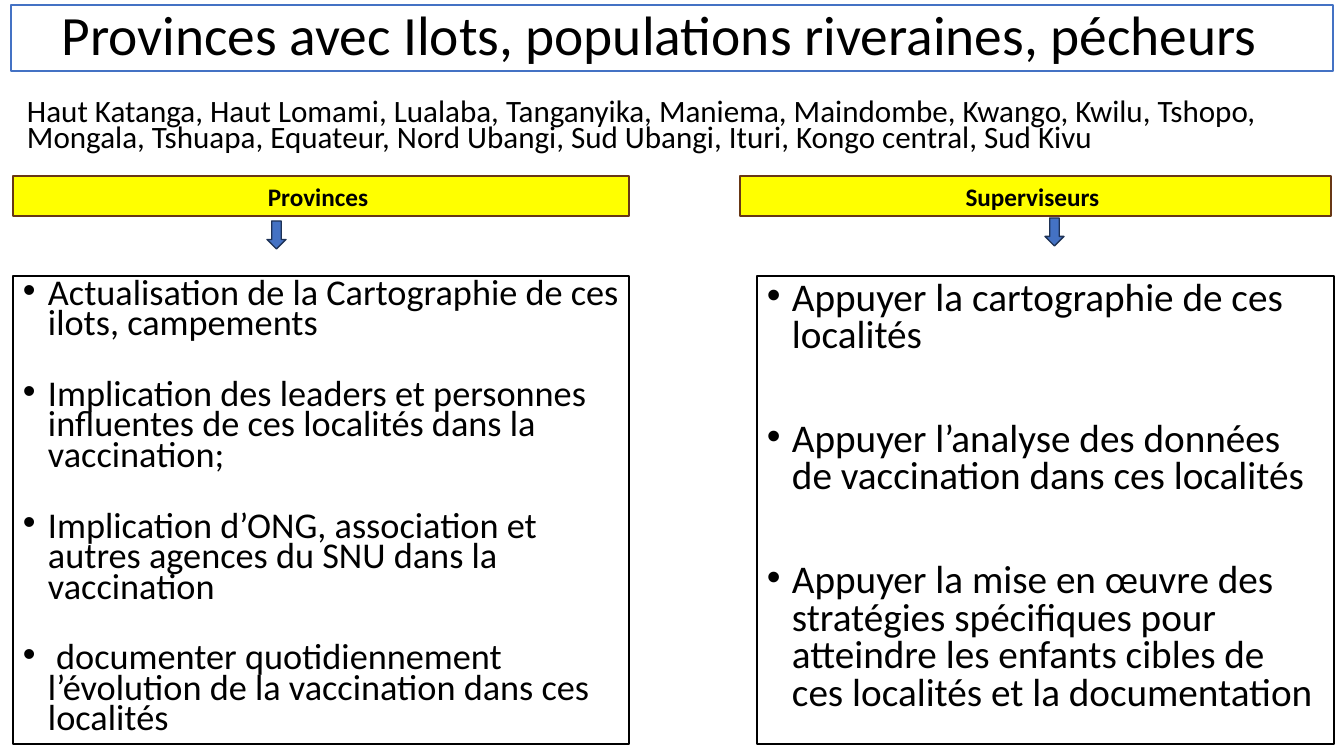
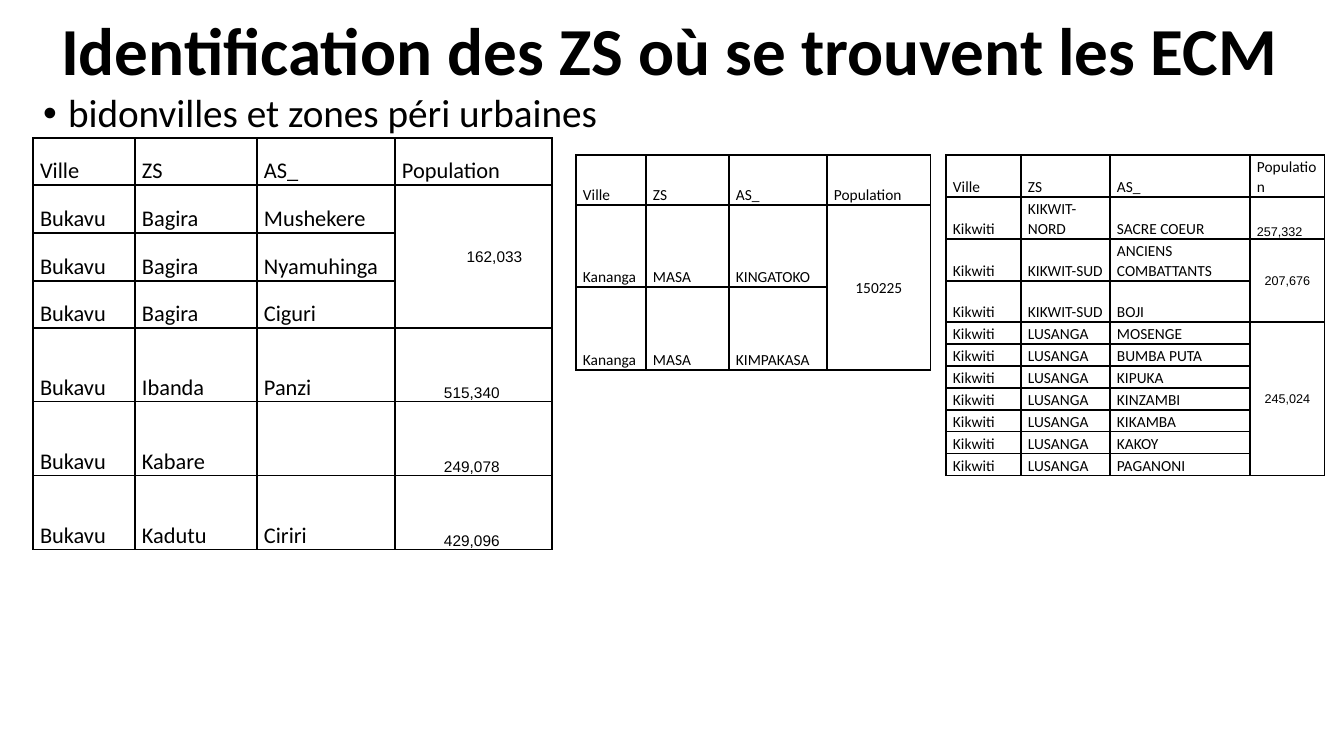
from lxml.etree import SubElement
from pptx import Presentation
from pptx.dml.color import RGBColor
from pptx.enum.shapes import MSO_SHAPE
from pptx.enum.text import MSO_ANCHOR, PP_ALIGN
from pptx.oxml import parse_xml
from pptx.oxml.ns import nsdecls, qn
from pptx.util import Emu, Pt

SLIDE_WIDTH, SLIDE_HEIGHT = 1344, 756
EMU_PER_PX = 12192000 / SLIDE_WIDTH
BLACK, WHITE, YELLOW = "000000", "FFFFFF", "FFFF00"
BLUE, NAVY, BROWN = "4472C4", "1E3256", "683715"


def px(length):
    return Emu(round(length * EMU_PER_PX))


def rgb(color):
    return RGBColor.from_string(color)


class Deck:
    """Shared style and the slide being filled."""

    font = "Calibri"
    inset = 10
    hanging = 25
    cell_inset = 7

    def __init__(self):
        self.presentation = Presentation()
        self.presentation.slide_width = px(SLIDE_WIDTH)
        self.presentation.slide_height = px(SLIDE_HEIGHT)
        self.slide = None

    def new_slide(self):
        blank = self.presentation.slide_layouts[6]
        self.slide = self.presentation.slides.add_slide(blank)

    def style(self, paragraph, size, bold=False, align=PP_ALIGN.LEFT,
              spacing=1.0, before=0, after=0, bullet=False, font=None):
        paragraph.alignment = align
        paragraph.line_spacing = spacing
        paragraph.space_before = Pt(before)
        paragraph.space_after = Pt(after)
        if bullet:
            properties = paragraph._p.get_or_add_pPr()
            properties.set("marL", str(px(self.hanging)))
            properties.set("indent", str(-px(self.hanging)))
            SubElement(properties, qn("a:buFont"), typeface="Arial")
            SubElement(properties, qn("a:buChar"), char="•")
        paragraph.font.name = font or self.font
        paragraph.font.size = Pt(size)
        paragraph.font.bold = bold
        paragraph.font.color.rgb = rgb(BLACK)

    def fill_frame(self, frame, lines, size, gap=0, anchor=MSO_ANCHOR.TOP,
                   right_inset=inset, **style):
        frame.word_wrap = True
        frame.vertical_anchor = anchor
        frame.margin_left = px(self.inset)
        frame.margin_right = px(right_inset)
        frame.margin_top = frame.margin_bottom = px(self.inset // 2)
        for i, line in enumerate(lines):
            paragraph = frame.add_paragraph() if i else frame.paragraphs[0]
            paragraph.text = line
            self.style(paragraph, size, before=gap if i else 0, **style)

    def shape(self, kind, box, fill, line):
        shape = self.slide.shapes.add_shape(kind, *map(px, box))
        shape.shadow.inherit = False
        shape.fill.solid()
        shape.fill.fore_color.rgb = rgb(fill)
        shape.line.color.rgb = rgb(line)
        shape.line.width = Pt(1)
        return shape

    def panel(self, box, lines, size, fill=WHITE, line=BLACK, **style):
        shape = self.shape(MSO_SHAPE.RECTANGLE, box, fill, line)
        self.fill_frame(shape.text_frame, lines, size, **style)

    def text(self, box, line, size, **style):
        textbox = self.slide.shapes.add_textbox(*map(px, box))
        self.fill_frame(textbox.text_frame, [line], size, **style)

    def down_arrow(self, x, y):
        self.shape(MSO_SHAPE.DOWN_ARROW, (x, y, 19, 28), BLUE, NAVY)

    def border(self, cell):
        properties = cell._tc.get_or_add_tcPr()
        for i, side in enumerate("LRTB"):
            properties.insert(i, parse_xml(
                f'<a:ln{side} {nsdecls("a")} w="{Pt(1)}"><a:solidFill>'
                f'<a:srgbClr val="{BLACK}"/></a:solidFill></a:ln{side}>'))

    def table(self, x, y, widths, heights, rows, size, figure_size,
              figure_font=None, figure_indent=0):
        """None in the last column extends the figure above it."""
        box = (x, y, sum(widths), sum(heights))
        table = self.slide.shapes.add_table(
            len(rows), len(widths), *map(px, box)).table
        table.first_row = table.horz_banding = False
        for column, width in zip(table.columns, widths):
            column.width = px(width)
        for row, height in zip(table.rows, heights):
            row.height = px(height)

        last = len(widths) - 1
        for r, values in enumerate(rows):
            for c, value in enumerate(values):
                cell = table.cell(r, c)
                figure = r > 0 and c == last
                shared = figure and r + 1 < len(rows) and rows[r + 1][c] is None
                cell.fill.background()
                self.border(cell)
                cell.margin_top = cell.margin_bottom = 0
                cell.margin_right = px(self.cell_inset)
                cell.margin_left = px(
                    self.cell_inset + (figure_indent if figure else 0))
                cell.vertical_anchor = (
                    MSO_ANCHOR.MIDDLE if shared else MSO_ANCHOR.BOTTOM)
                if value is not None:
                    cell.text = value
                self.style(cell.text_frame.paragraphs[0],
                           figure_size if figure else size,
                           align=PP_ALIGN.CENTER if shared else PP_ALIGN.LEFT,
                           spacing=1.07, after=8,
                           font=figure_font if figure else None)

        # Merge each shared figure with the empty cells below it
        starts = [r for r, values in enumerate(rows) if values[last] is not None]
        for start, end in zip(starts, starts[1:] + [len(rows)]):
            if end - start > 1:
                table.cell(start, last).merge(table.cell(end - 1, last))


def riverside_provinces(deck):
    deck.new_slide()
    deck.panel((11, 5, 1322, 66),
               ["Provinces avec Ilots, populations riveraines, pécheurs"], 39.6,
               line=BLUE, align=PP_ALIGN.CENTER, anchor=MSO_ANCHOR.MIDDLE,
               spacing=0.9, right_inset=35)
    deck.text((17, 97, 1316, 68),
              "Haut Katanga, Haut Lomami, Lualaba, Tanganyika, Maniema, "
              "Maindombe, Kwango, Kwilu, Tshopo, Mongala, Tshuapa, Equateur, "
              "Nord Ubangi, Sud Ubangi, Ituri, Kongo central, Sud Kivu",
              22.2, spacing=0.7)

    # Column headings
    for heading, x, width in (("Provinces", 13, 616), ("Superviseurs", 740, 591)):
        deck.panel((x, 176, width, 40), [heading], 18, fill=YELLOW, line=BROWN,
                   bold=True, align=PP_ALIGN.CENTER, right_inset=16)
    deck.down_arrow(267, 221)
    deck.down_arrow(1045, 218)

    # Tasks of each group
    deck.panel((13, 276, 616, 468), [
        "Actualisation de la Cartographie de ces ilots, campements",
        "Implication des leaders et personnes influentes de ces localités "
        "dans la vaccination;",
        "Implication d’ONG, association et autres agences du SNU dans la "
        "vaccination",
        " documenter quotidiennement l’évolution de la vaccination dans ces "
        "localités",
    ], 25.9, spacing=0.7, gap=28.7, bullet=True)
    deck.panel((757, 276, 577, 468), [
        "Appuyer la cartographie de ces localités",
        "Appuyer l’analyse des données de vaccination dans ces localités",
        "Appuyer la mise en œuvre des stratégies spécifiques pour atteindre "
        "les enfants cibles de ces localités et la documentation",
    ], 28, spacing=0.8, gap=47, bullet=True)


def urban_health_zones(deck):
    deck.new_slide()
    deck.text((14, 10, 1311, 88), "Identification des ZS où se trouvent les ECM",
              48, bold=True, align=PP_ALIGN.CENTER, anchor=MSO_ANCHOR.MIDDLE,
              spacing=0.9)
    deck.text((33, 89, 1144, 57), "bidonvilles et zones péri urbaines", 28,
              spacing=0.9, bullet=True)
    header = ("Ville", "ZS", "AS_", "Population")

    # Bukavu
    bukavu = [
        ("Bagira", "Mushekere", "162,033"),
        ("Bagira", "Nyamuhinga", None),
        ("Bagira", "Ciguri", None),
        ("Ibanda", "Panzi", "515,340"),
        ("Kabare", "", "249,078"),
        ("Kadutu", "Ciriri", "429,096"),
    ]
    deck.table(33, 138, (102, 122, 138, 157), [47, 48, 48, 47] + [74] * 3,
               [header] + [("Bukavu", *area) for area in bukavu], 16, 11,
               figure_font="Arial", figure_indent=42)

    # Kananga
    kananga = [("MASA", "KINGATOKO", "150225"), ("MASA", "KIMPAKASA", None)]
    deck.table(576, 155, (70, 83, 98, 104), [50, 82, 83],
               [header] + [("Kananga", *area) for area in kananga], 11, 11)

    # Kikwiti
    lusanga = ("MOSENGE", "BUMBA PUTA", "KIPUKA", "KINZAMBI", "KIKAMBA",
               "KAKOY", "PAGANONI")
    kikwiti = [
        ("KIKWIT-NORD", "SACRE COEUR", "257,332"),
        ("KIKWIT-SUD", "ANCIENS COMBATTANTS", "207,676"),
        ("KIKWIT-SUD", "BOJI", None),
    ] + [("LUSANGA", area, None if i else "245,024")
         for i, area in enumerate(lusanga)]
    deck.table(946, 155, (75, 89, 140, 75), [42, 42, 42, 41] + [22] * 7,
               [header] + [("Kikwiti", *area) for area in kikwiti], 11, 9,
               figure_font="Arial")


def main():
    deck = Deck()
    riverside_provinces(deck)
    urban_health_zones(deck)
    deck.presentation.save("out.pptx")


if __name__ == "__main__":
    main()
